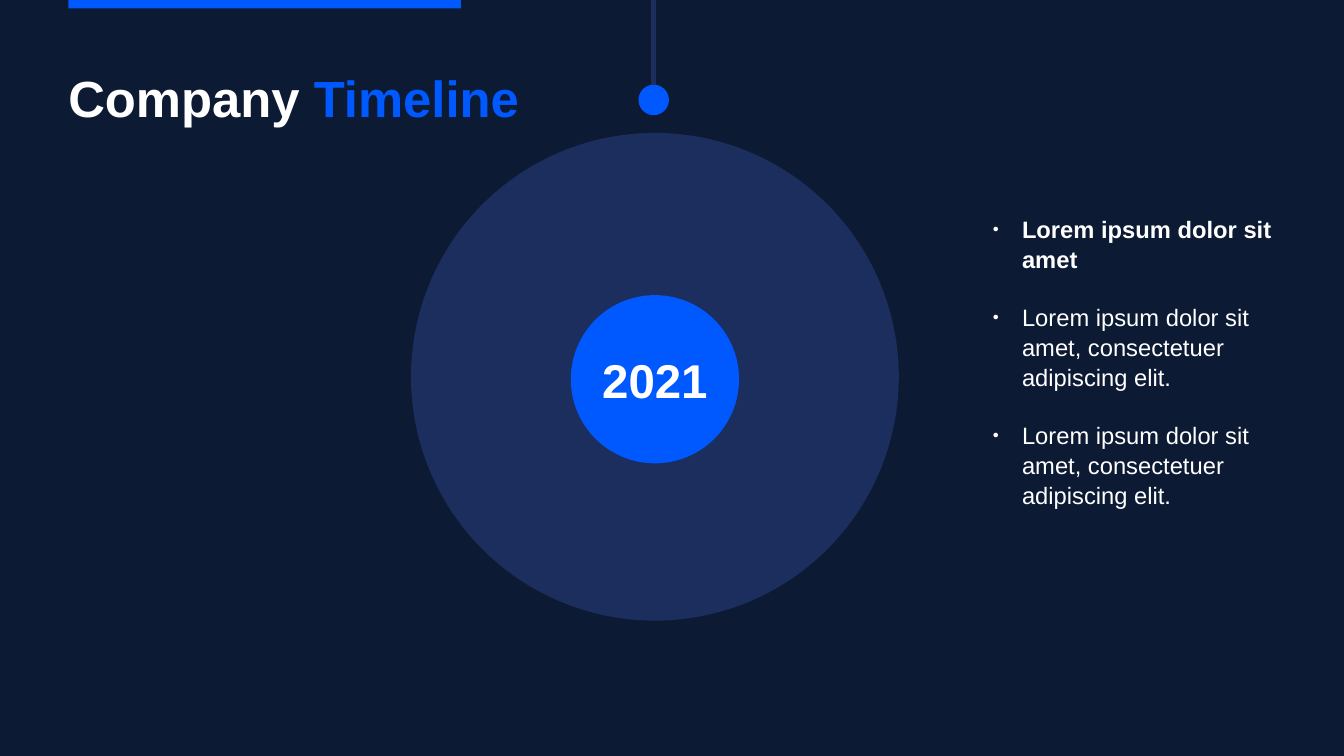
from lxml import etree
from pptx import Presentation
from pptx.dml.color import RGBColor
from pptx.enum.shapes import MSO_CONNECTOR, MSO_SHAPE
from pptx.enum.text import MSO_ANCHOR, MSO_AUTO_SIZE, PP_ALIGN
from pptx.oxml.ns import qn
from pptx.util import Inches, Pt

NAVY = RGBColor(0x0C, 0x1A, 0x33)
INDIGO = RGBColor(0x1C, 0x2E, 0x5D)
BLUE = RGBColor(0x00, 0x59, 0xFF)
WHITE = RGBColor(0xFF, 0xFF, 0xFF)

BULLETS = [
    ("Lorem ipsum dolor sit amet", True),
    ("Lorem ipsum dolor sit amet, consectetuer adipiscing elit.", False),
    ("Lorem ipsum dolor sit amet, consectetuer adipiscing elit.", False),
]


def add_text(paragraph, text, size, color=WHITE, bold=False, align=PP_ALIGN.LEFT):
    paragraph.alignment = align
    run = paragraph.add_run()
    run.text = text
    font = run.font
    font.name, font.size, font.bold = "Arial", Pt(size), bold
    font.color.rgb = color


def prepare_frame(frame, margin=0, anchor=MSO_ANCHOR.TOP, wrap=True):
    frame.margin_left = frame.margin_right = Inches(margin)
    frame.margin_top = frame.margin_bottom = Inches(margin)
    frame.vertical_anchor = anchor
    frame.word_wrap = wrap
    frame.auto_size = MSO_AUTO_SIZE.NONE


def add_filled_shape(slide, kind, left, top, width, height, color):
    shape = slide.shapes.add_shape(
        kind, Inches(left), Inches(top), Inches(width), Inches(height))
    shape.shadow.inherit = False
    shape.fill.solid()
    shape.fill.fore_color.rgb = color
    shape.line.fill.background()
    return shape


def add_circle(slide, center_x, center_y, diameter, color):
    return add_filled_shape(
        slide, MSO_SHAPE.OVAL, center_x - diameter / 2, center_y - diameter / 2,
        diameter, diameter, color)


def add_bullet(paragraph):
    properties = paragraph._p.get_or_add_pPr()
    properties.set("marL", str(Inches(0.24)))
    properties.set("indent", str(-Inches(0.24)))
    bullet_color = etree.SubElement(properties, qn("a:buClr"))
    etree.SubElement(bullet_color, qn("a:srgbClr"), val=str(WHITE))
    etree.SubElement(properties, qn("a:buSzPct"), val="45000")
    etree.SubElement(properties, qn("a:buFont"), typeface="Arial")
    etree.SubElement(properties, qn("a:buChar"), char="●")


def build_header(slide, left, top, width, height):
    add_filled_shape(slide, MSO_SHAPE.RECTANGLE, left, 0, 3.22, 0.07, BLUE)
    title = slide.shapes.title
    title.left, title.top = Inches(left), Inches(top)
    title.width, title.height = Inches(width), Inches(height)
    prepare_frame(title.text_frame)
    paragraph = title.text_frame.paragraphs[0]
    add_text(paragraph, "Company ", 30, bold=True)
    add_text(paragraph, "Timeline", 30, color=BLUE, bold=True)


def build_year_marker(slide, left, top, diameter):
    """Draw the year disc with its stem running up to the slide's top edge."""
    center_x, center_y = left + diameter / 2, top + diameter / 2
    add_circle(slide, center_x, center_y, diameter, INDIGO)
    year = add_circle(slide, center_x, center_y + 0.02, 1.38, BLUE)
    prepare_frame(year.text_frame, 0.05, MSO_ANCHOR.MIDDLE, wrap=False)
    add_text(year.text_frame.paragraphs[0], "2021", 28, bold=True,
             align=PP_ALIGN.CENTER)

    stem_x, dot_y = center_x - 0.01, top - 0.27
    stem = slide.shapes.add_connector(
        MSO_CONNECTOR.STRAIGHT, Inches(stem_x), 0, Inches(stem_x), Inches(dot_y))
    stem.line.color.rgb = INDIGO
    stem.line.width = Pt(3)
    etree.SubElement(stem._element.spPr, qn("a:effectLst"))
    add_circle(slide, stem_x, dot_y, 0.25, BLUE)


def build_bullets(slide, left, top, width, height):
    box = slide.shapes.add_textbox(
        Inches(left), Inches(top), Inches(width), Inches(height))
    frame = box.text_frame
    prepare_frame(frame)
    for index, (text, bold) in enumerate(BULLETS):
        paragraph = frame.add_paragraph() if index else frame.paragraphs[0]
        add_bullet(paragraph)
        paragraph.line_spacing = 1.05
        paragraph.space_before = Pt(16.8 if index else 0)
        add_text(paragraph, text, 14, bold=bold)


def main():
    presentation = Presentation()
    presentation.slide_width = Inches(11.02)
    presentation.slide_height = Inches(6.2)
    slide = presentation.slides.add_slide(presentation.slide_layouts[5])
    slide.background.fill.solid()
    slide.background.fill.fore_color.rgb = NAVY
    build_header(slide, 0.56, 0.55, 9.91, 0.75)
    build_bullets(slide, 8.14, 1.75, 2.36, 3)
    build_year_marker(slide, 3.37, 1.09, 4)
    presentation.save("out.pptx")


if __name__ == "__main__":
    main()
